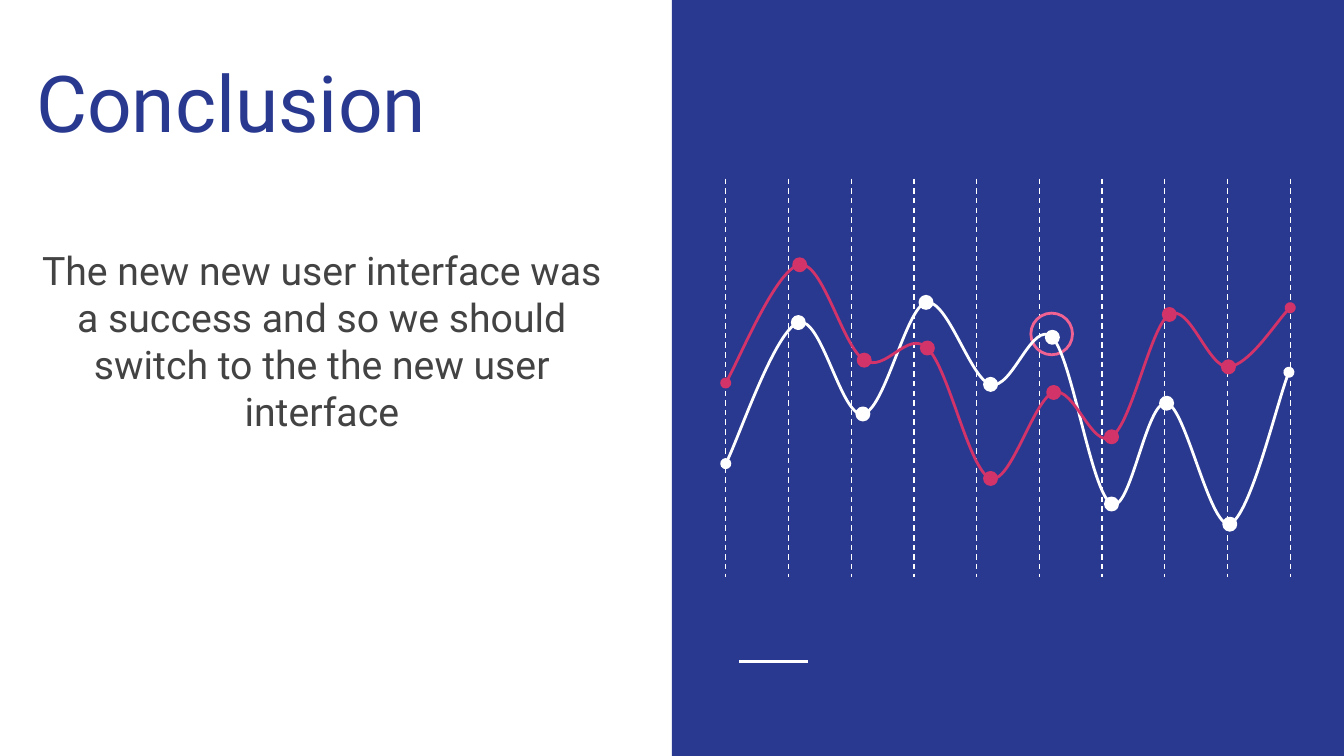
from pptx import Presentation
from pptx import util as u
from pptx.dml.color import RGBColor
from pptx.enum import dml, shapes, text
from pptx.oxml import ns, xmlchemy

PX = 4572
BLUE, WHITE, RED, PINK, GREY = "2A3990", "FFFFFF", "D23369", "F06292", "434343"
PALE_CURVE = [
    (0, 424), (18, 390), (74, 226), (108, 214), (142, 202), (172, 356), (204, 350),
    (236, 346), (268, 192), (298, 184), (330, 178), (364, 298), (394, 306),
    (426, 316), (456, 208), (486, 236), (516, 268), (544, 468), (574, 484),
    (602, 500), (626, 328), (656, 334), (684, 338), (720, 520), (750, 514),
    (780, 502), (822, 326), (838, 288),
]
RED_CURVE = [
    (0, 304), (18, 274), (76, 134), (110, 128), (144, 122), (174, 250), (206, 270),
    (238, 290), (270, 224), (300, 252), (332, 282), (362, 434), (394, 446),
    (424, 456), (458, 328), (488, 318), (518, 308), (546, 404), (574, 384),
    (604, 366), (632, 220), (660, 202), (690, 184), (718, 282), (748, 280),
    (778, 278), (824, 206), (840, 192),
]


def emu(*sizes):
    """Turn px lengths into EMU."""
    return [u.Emu(size * PX) for size in sizes]


def paint(format, color):
    """Give a fill or font colour format a solid hex colour."""
    format.solid()
    format.fore_color.rgb = RGBColor.from_string(color)


def stroke(line, color, width):
    """Set the colour and point width of a line."""
    paint(line.fill, color)
    line.width = u.Pt(width)


def add_form(home, kind, box, fill=None, edge=None):
    """Add a preset shape with an optional fill and edge."""
    form = home.add_shape(kind, *emu(*box))
    form.shadow.inherit = False
    if fill:
        paint(form.fill, fill)
    else:
        form.fill.background()
    if edge:
        stroke(form.line, edge, 1.5)
    else:
        form.line.fill.background()
    return form


def add_rule(home, ends, width, dash=None):
    """Add a white straight line between two points."""
    rule = home.add_connector(shapes.MSO_CONNECTOR.STRAIGHT, *emu(*ends))
    stroke(rule.line, WHITE, width)
    rule.line.dash_style = dash
    rule.element.spPr.append(xmlchemy.OxmlElement("a:effectLst"))


def add_panel(home, box):
    """Add the blue panel with its short rule."""
    left, top = box[:2]
    add_form(home, shapes.MSO_SHAPE.RECTANGLE, box, BLUE)
    add_rule(home, (left + 100, top + 984, left + 202, top + 984), 1.5)


def add_grid(home, box):
    """Add ten evenly spaced dashed lines across the box."""
    left, top, width, height = box
    group = home.add_group_shape().shapes
    for step in range(10):
        x = left + round(width * step / 9)
        add_rule(group, (x, top, x, top + height), 0.75, dml.MSO_LINE.DASH)


def add_curve(home, box, points, color):
    """Add a smooth curve with a dot on each inner knot."""
    left, top = box[:2]
    group = home.add_group_shape().shapes
    pen = group.build_freeform(*points[0], scale=PX)
    pen.add_line_segments(points[1:], close=False)
    curve = pen.convert_to_shape(*emu(left, top))
    curve.shadow.inherit = False
    curve.fill.background()
    stroke(curve.line, color, 1.5)
    parts = list(curve.element.iter(ns.qn("a:lnTo")))
    for bend, *rest in zip(parts[::3], parts[1::3], parts[2::3]):
        bend.tag = ns.qn("a:cubicBezTo")
        for part in rest:
            bend.extend(list(part))
            part.getparent().remove(part)
    edge = curve.element.spPr.find(ns.qn("a:ln"))
    for name in ("a:headEnd", "a:tailEnd"):
        end = xmlchemy.OxmlElement(name)
        end.set("type", "oval")
        edge.append(end)
    for x, y in points[3:-1:3]:
        dot = (left + x - 9, top + y - 9, 18, 18)
        add_form(group, shapes.MSO_SHAPE.OVAL, dot, color, color)


def add_chart_art(home, box):
    """Add the grid, the ring and both curves."""
    left, top = box[:2]
    add_grid(home, box)
    ring = (left + 454, top + 200, 62, 62)
    add_form(home, shapes.MSO_SHAPE.OVAL, ring, edge=PINK)
    add_curve(home, box, PALE_CURVE, WHITE)
    add_curve(home, box, RED_CURVE, RED)


def fill_holder(holder, box, words, size, color, align, anchor):
    """Move a placeholder and write its formatted text."""
    holder.left, holder.top, holder.width, holder.height = emu(*box)
    frame = holder.text_frame
    frame.word_wrap = True
    frame.auto_size = text.MSO_AUTO_SIZE.NONE
    frame.vertical_anchor = anchor
    frame.margin_left = frame.margin_right = u.Inches(0.1)
    frame.margin_top = frame.margin_bottom = u.Inches(0.1)
    para = frame.paragraphs[0]
    para.alignment = align
    para.space_before = u.Pt(0)
    run = para.add_run()
    run.text = words
    run.font.name = "Roboto"
    run.font.size = u.Pt(size)
    paint(run.font.fill, color)


def add_text(slide, box):
    """Fill the title and subtitle in the left half."""
    left, top = box[:2]
    title, body = slide.placeholders
    fill_holder(title, (left + 34, top + 20, 884, 220), "Conclusion", 42, BLUE,
                text.PP_ALIGN.LEFT, text.MSO_ANCHOR.BOTTOM)
    fill_holder(body, (left + 26, top + 346, 906, 386),
                "The new new user interface was a success and so we should "
                "switch to the the new user interface",
                21, GREY, text.PP_ALIGN.CENTER, text.MSO_ANCHOR.TOP)


def main():
    """Build the slide and save it."""
    deck = Presentation()
    deck.slide_width, deck.slide_height = emu(2000, 1125)
    slide = deck.slides.add_slide(deck.slide_layouts[0])
    paint(slide.background.fill, WHITE)
    add_text(slide, (0, 0, 1000, 1125))
    add_panel(slide.shapes, (1000, 0, 1000, 1125))
    add_chart_art(slide.shapes, (1080, 266, 840, 592))
    deck.save("out.pptx")


if __name__ == "__main__":
    main()
